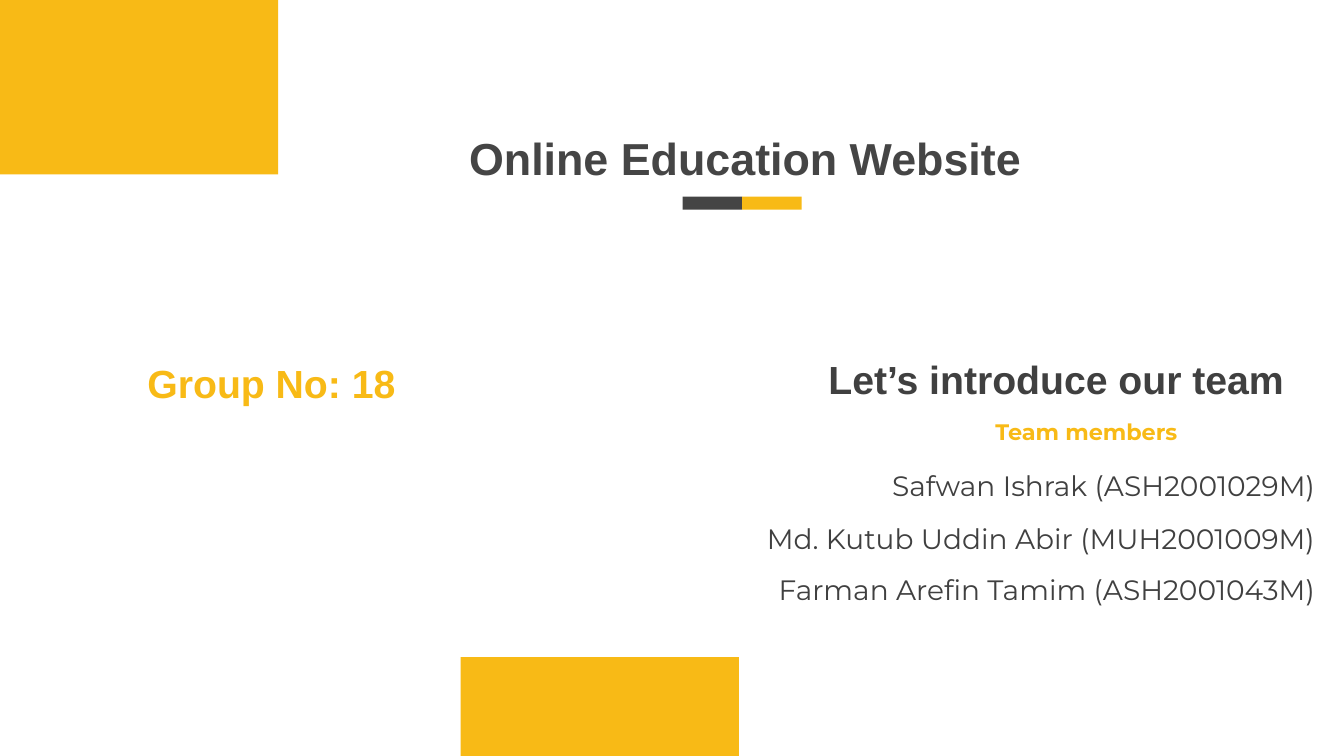
from dataclasses import dataclass

from pptx import Presentation
from pptx.dml.color import RGBColor
from pptx.enum.shapes import MSO_SHAPE as Preset
from pptx.enum.text import PP_ALIGN as Align
from pptx.util import Inches, Pt

SLIDE_WIDTH = Inches(13.33)
SLIDE_HEIGHT = Inches(7.5)


@dataclass(frozen=True)
class Theme:
    yellow: str = "F8BA16"
    dark: str = "454545"
    ink: str = "404040"
    heading_font: str = "Arial"
    body_font: str = "Montserrat"
    title_size: int = 32
    heading_size: int = 28
    member_size: int = 20
    label_size: int = 16


THEME = Theme()


def place(left, top, width, height):
    """Turn percentages of the slide's width and height into lengths."""
    return (
        int(SLIDE_WIDTH * left / 100),
        int(SLIDE_HEIGHT * top / 100),
        int(SLIDE_WIDTH * width / 100),
        int(SLIDE_HEIGHT * height / 100),
    )


def add_block(slide, area, color):
    shape = slide.shapes.add_shape(Preset.RECTANGLE, *place(*area))
    shape.shadow.inherit = False
    shape.fill.solid()
    shape.fill.fore_color.rgb = RGBColor.from_string(color)
    shape.line.fill.background()


def add_text(slide, area, *lines, size, color, font=THEME.heading_font,
             bold=True, align=Align.RIGHT, gaps=(0,), wrap=True):
    """Write one paragraph per line; gaps holds the points before each."""
    frame = slide.shapes.add_textbox(*place(*area)).text_frame
    frame.word_wrap = wrap
    for index, (line, gap) in enumerate(zip(lines, gaps)):
        paragraph = frame.add_paragraph() if index else frame.paragraphs[0]
        paragraph.alignment = align
        if gap:
            paragraph.space_before = Pt(gap)
        run = paragraph.add_run()
        run.text = line
        run.font.name = font
        run.font.size = Pt(size)
        run.font.bold = bold
        run.font.color.rgb = RGBColor.from_string(color)


def add_divider(slide, left, top, half_width, height):
    for index, color in enumerate((THEME.dark, THEME.yellow)):
        area = (left + index * half_width, top, half_width, height)
        add_block(slide, area, color)


def add_team(slide):
    add_text(slide, (58.59, 46.4, 39.98, 7.33), "Let’s introduce our team",
             size=THEME.heading_size, color=THEME.ink, align=Align.CENTER)
    add_text(slide, (68.95, 54.67, 23.78, 4.93), "Team members",
             size=THEME.label_size, color=THEME.yellow,
             font=THEME.body_font, align=Align.CENTER)
    add_text(slide, (50.64, 61.33, 47.94, 20.13),
             "Safwan Ishrak (ASH2001029M)",
             "Md. Kutub Uddin Abir (MUH2001009M)",
             "Farman Arefin Tamim (ASH2001043M)",
             size=THEME.member_size, color=THEME.ink,
             font=THEME.body_font, bold=False, gaps=(0, 14, 12))


def main():
    presentation = Presentation()
    presentation.slide_width = SLIDE_WIDTH
    presentation.slide_height = SLIDE_HEIGHT
    slide = presentation.slides.add_slide(presentation.slide_layouts[6])

    add_team(slide)
    add_divider(slide, 50.79, 26, 4.43, 1.73)
    add_block(slide, (0, 0, 20.7, 23.07), THEME.yellow)
    add_block(slide, (34.28, 86.93, 20.7, 13.07), THEME.yellow)
    add_text(slide, (26.71, 16.67, 50.04, 8.53), "Online Education Website",
             size=THEME.title_size, color=THEME.dark)
    add_text(slide, (9.98, 46.93, 20.18, 7.6), "Group No: 18",
             size=THEME.heading_size, color=THEME.yellow, wrap=False)

    presentation.save("out.pptx")


if __name__ == "__main__":
    main()
